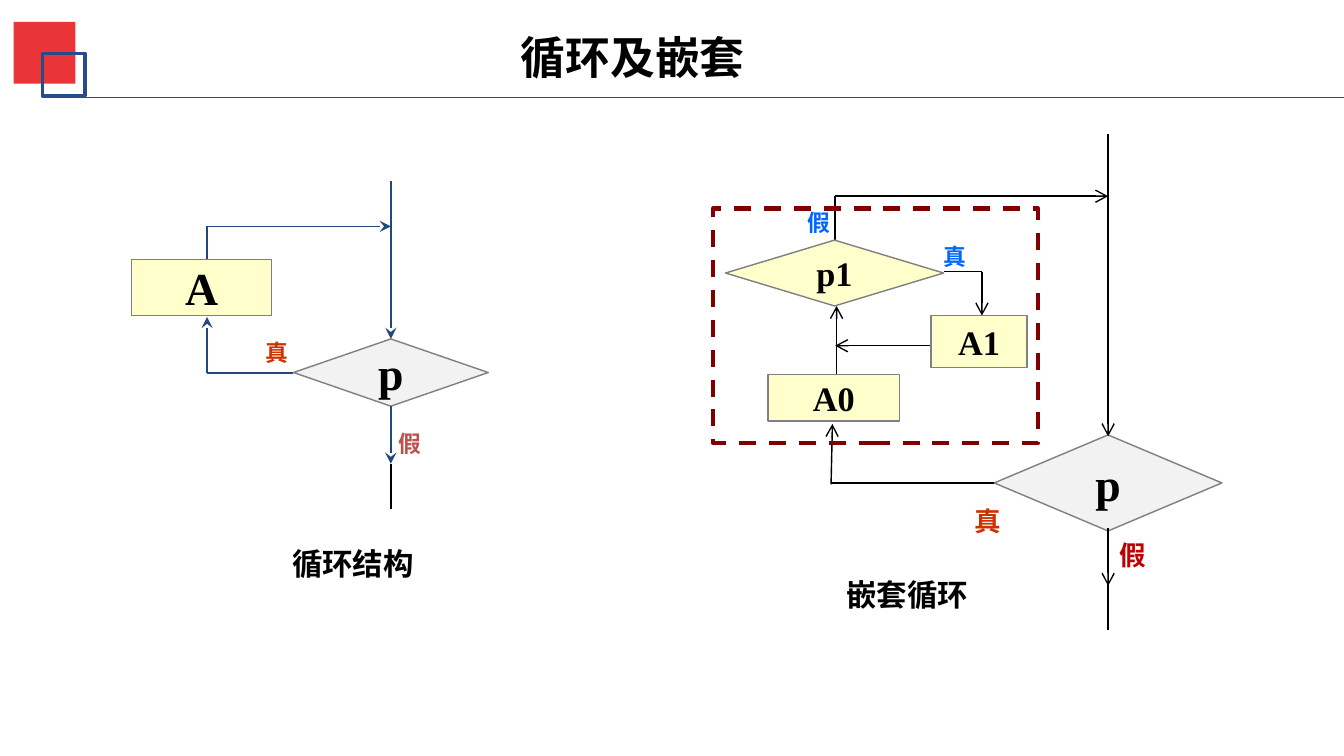
import pptx
import pptx.util
import pptx.dml.color
import pptx.enum.dml
import pptx.enum.shapes
import pptx.enum.text
import pptx.oxml
import pptx.oxml.ns

Inches = pptx.util.Inches
Pt = pptx.util.Pt
RGBColor = pptx.dml.color.RGBColor
MSO_SHAPE = pptx.enum.shapes.MSO_SHAPE
DASH = pptx.enum.dml.MSO_LINE.DASH

BLACK = RGBColor(0x00, 0x00, 0x00)
GRAY = RGBColor(0x80, 0x80, 0x80)
PALE_GRAY = RGBColor(0xF2, 0xF2, 0xF2)
CREAM = RGBColor(0xFF, 0xFF, 0xCC)
RED = RGBColor(0xE9, 0x35, 0x38)
NAVY = RGBColor(0x28, 0x4C, 0x8A)
FLOW_BLUE = RGBColor(0x1F, 0x49, 0x7D)
ORANGE = RGBColor(0xCC, 0x33, 0x00)
BRICK = RGBColor(0xC0, 0x50, 0x4D)
CRIMSON = RGBColor(0xC0, 0x00, 0x00)
BRIGHT_BLUE = RGBColor(0x00, 0x66, 0xFF)
MAROON = RGBColor(0x80, 0x00, 0x00)

CJK_FONT = "Noto Sans CJK SC"


def write(tf, text, size=12, color=BLACK, font="Times New Roman",
          wrap=False, middle=False, inset=0.05):
    """Fill a text frame with one centred bold paragraph."""
    anchor = pptx.enum.text.MSO_ANCHOR
    tf.word_wrap = wrap
    tf.vertical_anchor = anchor.MIDDLE if middle else anchor.TOP
    tf.margin_left = tf.margin_right = Inches(inset)
    tf.margin_top = tf.margin_bottom = Inches(0.05)
    p = tf.paragraphs[0]
    p.alignment = pptx.enum.text.PP_ALIGN.CENTER
    r = p.add_run()
    r.text = text
    r.font.size = Pt(size)
    r.font.bold = True
    r.font.name = font
    r.font.color.rgb = color
    ea = pptx.oxml.parse_xml(
        f'<a:ea {pptx.oxml.ns.nsdecls("a")} typeface="{CJK_FONT}"/>')
    r.font._element.find(pptx.oxml.ns.qn("a:latin")).addnext(ea)


class FlowSlide:
    line_width = 0.75

    def __init__(self, prs):
        self.s = prs.slides.add_slide(prs.slide_layouts[6])

    def shape(self, kind, x, y, w, h, fill=None, line=None, width=None, dash=None):
        sp = self.s.shapes.add_shape(kind, Inches(x), Inches(y), Inches(w), Inches(h))
        sp.shadow.inherit = False
        if fill is None:
            sp.fill.background()
        else:
            sp.fill.solid()
            sp.fill.fore_color.rgb = fill
        if line is None:
            sp.line.fill.background()
        else:
            sp.line.color.rgb = line
            sp.line.width = Pt(width or self.line_width)
            if dash is not None:
                sp.line.dash_style = dash
        return sp

    def step(self, text, x, y, w, h, size):
        sp = self.shape(MSO_SHAPE.RECTANGLE, x, y, w, h, CREAM, GRAY)
        write(sp.text_frame, text, size=size, middle=True)

    def decision(self, text, x, y, w, h, size, fill=PALE_GRAY):
        sp = self.shape(MSO_SHAPE.DIAMOND, x, y, w, h, fill, GRAY)
        write(sp.text_frame, text, size=size, middle=True)

    def text(self, text, x, y, w, h, **fmt):
        tb = self.s.shapes.add_textbox(Inches(x), Inches(y), Inches(w), Inches(h))
        write(tb.text_frame, text, wrap=True, **fmt)

    def branch(self, text, cx, y, size, color):
        w = 0.4
        self.text(text, cx - w / 2, y, w, 0.3, size=size, color=color, inset=0)

    def line(self, x1, y1, x2, y2, color=BLACK, arrow=None):
        cn = self.s.shapes.add_connector(
            pptx.enum.shapes.MSO_CONNECTOR.STRAIGHT,
            Inches(x1), Inches(y1), Inches(x2), Inches(y2))
        cn.line.color.rgb = color
        cn.line.width = Pt(self.line_width)
        ns = pptx.oxml.ns.nsdecls("a")
        if arrow:
            cn.line._get_or_add_ln().append(
                pptx.oxml.parse_xml(f'<a:tailEnd {ns} type="{arrow}"/>'))
        cn._element.spPr.append(pptx.oxml.parse_xml(f"<a:effectLst {ns}/>"))


def draw_header(fs):
    fs.text("循环及嵌套", 1.49, 0.15, 6.25, 0.52, size=23.5, font=CJK_FONT, middle=True)
    fs.shape(MSO_SHAPE.RECTANGLE, 0.1, 0.16, 0.45, 0.45, RED)
    fs.shape(MSO_SHAPE.RECTANGLE, 0.31, 0.39, 0.31, 0.31, line=NAVY, width=2)
    fs.line(0.38, 0.71, 9.8, 0.71, NAVY)


def draw_simple_loop(fs):
    fs.decision("p", 2.14, 2.47, 1.42, 0.49, 24)
    fs.step("A", 0.96, 1.89, 1.02, 0.41, 24)
    main_x, back_x = 2.85, 1.51
    for x1, y1, x2, y2, arrow in (
            (main_x, 1.32, main_x, 2.47, "stealth"),
            (2.14, 2.72, back_x, 2.72, None),
            (back_x, 2.72, back_x, 2.31, "stealth"),
            (back_x, 1.89, back_x, 1.65, None),
            (back_x, 1.65, main_x, 1.65, "stealth"),
            (main_x, 2.96, main_x, 3.38, "stealth")):
        fs.line(x1, y1, x2, y2, FLOW_BLUE, arrow)
    fs.line(main_x, 3.38, main_x, 3.71)
    fs.branch("真", 2.02, 2.42, 12, ORANGE)
    fs.branch("假", 2.99, 3.08, 12, BRICK)
    fs.text("循环结构", 1.51, 3.92, 2.13, 0.37, size=16)


def draw_nested_loop(fs):
    # Outer loop
    fs.decision("p", 7.25, 3.17, 1.66, 0.7, 24)
    main_x, inner_x = 8.08, 6.09
    for x1, y1, x2, y2, arrow in (
            (main_x, 0.98, main_x, 3.18, "arrow"),
            (main_x, 3.85, main_x, 4.27, "arrow"),
            (main_x, 4.25, main_x, 4.59, None),
            (7.25, 3.52, 6.07, 3.52, None),
            (6.06, 3.53, 6.07, 3.09, "arrow"),
            # Inner loop
            (inner_x, 1.75, inner_x, 1.43, None),
            (inner_x, 1.43, main_x, 1.43, "arrow"),
            (6.88, 1.98, 7.16, 1.98, None),
            (7.16, 1.98, 7.16, 2.3, "arrow"),
            (6.78, 2.52, inner_x, 2.52, "arrow"),
            (6.1, 2.74, 6.1, 2.23, "arrow")):
        fs.line(x1, y1, x2, y2, arrow=arrow)
    fs.decision("p1", 5.29, 1.75, 1.59, 0.48, 18, CREAM)
    fs.step("A1", 6.79, 2.3, 0.7, 0.38, 18)
    fs.step("A0", 5.6, 2.73, 0.96, 0.34, 18)

    # Branch labels and caption
    fs.branch("真", 7.2, 3.63, 14, ORANGE)
    fs.branch("假", 8.26, 3.88, 14, CRIMSON)
    fs.branch("假", 5.97, 1.47, 12, BRIGHT_BLUE)
    fs.branch("真", 6.96, 1.72, 12, BRIGHT_BLUE)
    fs.text("嵌套循环", 5.49, 4.15, 2.25, 0.37, size=16)

    # Frame around the inner loop
    fs.shape(MSO_SHAPE.RECTANGLE, 5.2, 1.52, 2.37, 1.71,
             line=MAROON, width=2.25, dash=DASH)


def main():
    prs = pptx.Presentation()
    prs.slide_width = Inches(9.8)
    prs.slide_height = Inches(5.51)
    fs = FlowSlide(prs)
    draw_header(fs)
    draw_simple_loop(fs)
    draw_nested_loop(fs)
    prs.save("out.pptx")


if __name__ == "__main__":
    main()
